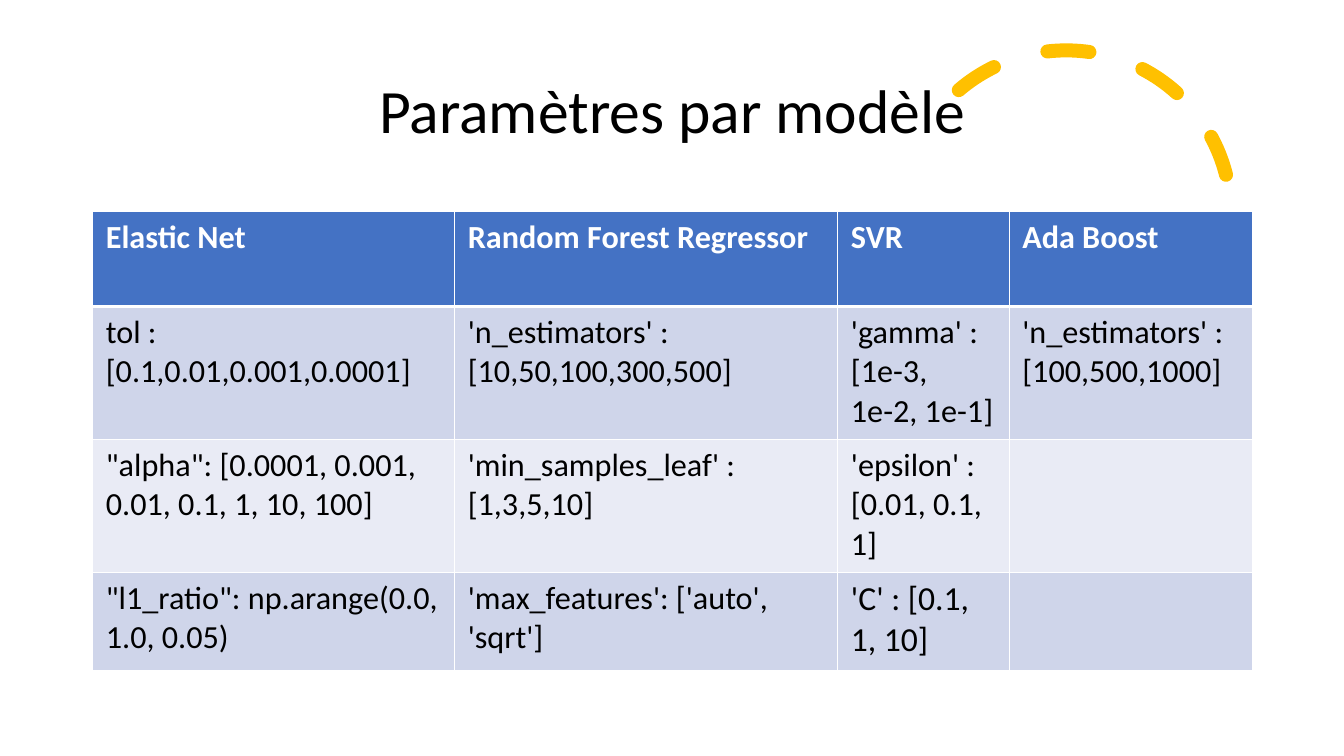
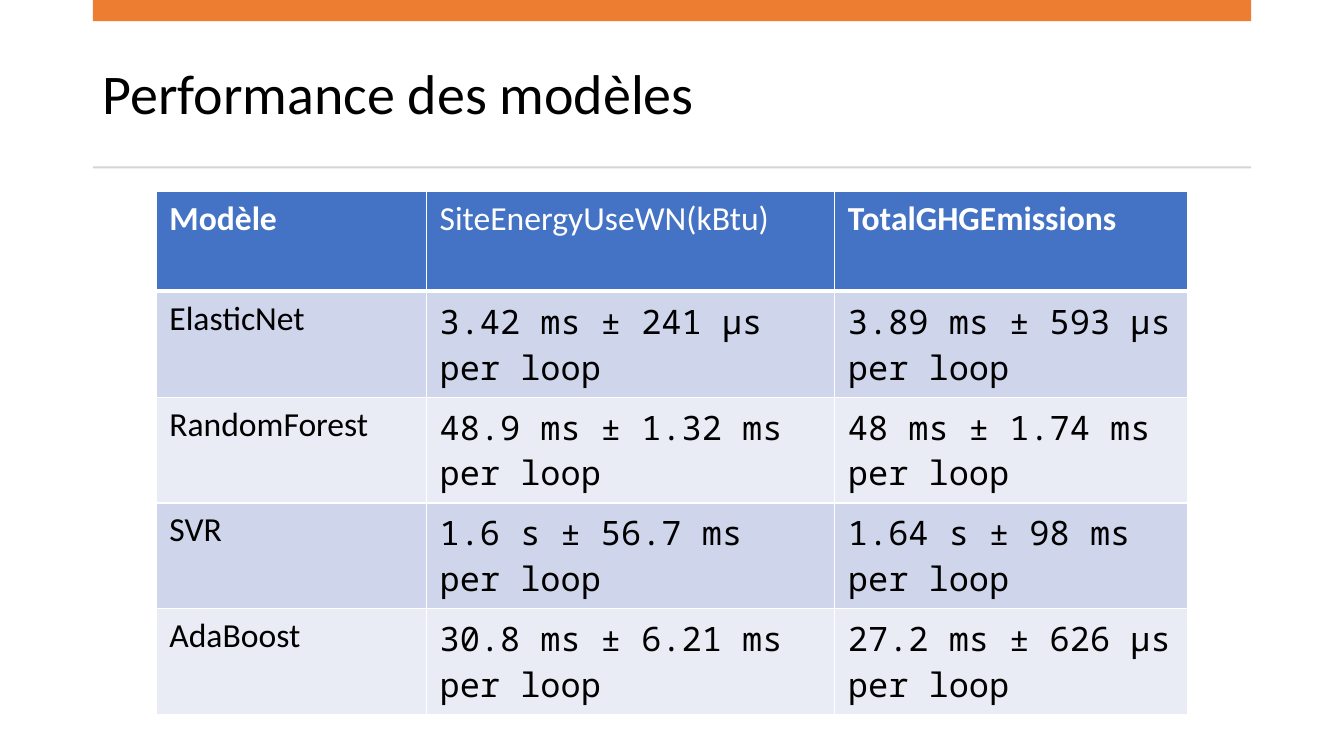
from dataclasses import dataclass, field

import lxml.etree
import pptx
import pptx.dml.color
import pptx.enum.dml
import pptx.enum.shapes
import pptx.enum.text
import pptx.oxml.ns
import pptx.presentation
import pptx.shapes.autoshape
import pptx.slide
import pptx.table
import pptx.text.text
import pptx.util

Inches = pptx.util.Inches
RGBColor = pptx.dml.color.RGBColor
Align = pptx.enum.text.PP_ALIGN
Preset = pptx.enum.shapes.MSO_SHAPE
qn = pptx.oxml.ns.qn

Box = tuple[float, float, float, float]
TITLE_ONLY_LAYOUT = 5


@dataclass(frozen=True)
class Theme:
    font: str = "Calibri"
    mono_font: str = "Noto Sans Mono"
    text: RGBColor = RGBColor.from_string("000000")
    white: RGBColor = RGBColor.from_string("FFFFFF")
    header: RGBColor = RGBColor.from_string("4472C4")
    bands: tuple[RGBColor, RGBColor] = (
        RGBColor.from_string("CFD5EA"),
        RGBColor.from_string("E9EBF5"),
    )
    arc: RGBColor = RGBColor.from_string("FFC000")
    bar: RGBColor = RGBColor.from_string("ED7D31")
    rule: RGBColor = RGBColor.from_string("D5D5D5")
    large_title: int = 44
    title: int = 40
    large_cell: int = 24
    cell: int = 23
    arc_width: int = 10
    border: int = 1
    header_border: int = 3


THEME = Theme()


@dataclass(frozen=True)
class TableDesign:
    """Rows of text with their grid; exceptions hold text formats by (row, column)."""

    left: float
    top: float
    widths: list[float]
    heights: list[float]
    rows: list[list[str]]
    size: int
    margin: float
    column_fonts: list[str]
    exceptions: dict[tuple[int, int], dict] = field(default_factory=dict)


PARAMETERS = TableDesign(
    left=0.92,
    top=2.1,
    widths=[3.59, 3.8, 1.7, 2.41],
    heights=[0.94, 1.32, 1.32, 0.97],
    rows=[
        ["Elastic Net", "Random Forest Regressor", "SVR", "Ada Boost"],
        [
            "tol : [0.1,0.01,0.001,0.0001]",
            "'n_estimators' : [10,50,100,300,500]",
            "'gamma' : [1e-3, 1e-2, 1e-1]",
            "'n_estimators' : [100,500,1000]",
        ],
        [
            '"alpha": [0.0001, 0.001, 0.01, 0.1, 1, 10, 100]',
            "'min_samples_leaf' : [1,3,5,10]",
            "'epsilon' : [0.01, 0.1, 1]",
            "",
        ],
        [
            '"l1_ratio": np.arange(0.0, 1.0, 0.05)',
            "'max_features': ['auto', 'sqrt']",
            "'C' : [0.1, 1, 10]",
            "",
        ],
    ],
    size=THEME.cell,
    margin=0.06,
    column_fonts=[THEME.font] * 4,
    exceptions={(3, 2): {"size": THEME.large_cell}},
)

PERFORMANCE = TableDesign(
    left=1.55,
    top=1.9,
    widths=[2.68, 4.05, 3.5],
    heights=[0.99] * 5,
    rows=[
        ["Modèle", "SiteEnergyUseWN(kBtu)", "TotalGHGEmissions"],
        ["ElasticNet", "3.42 ms ± 241 µs per loop", "3.89 ms ± 593 µs per loop"],
        ["RandomForest", "48.9 ms ± 1.32 ms per loop", "48 ms ± 1.74 ms per loop"],
        ["SVR", "1.6 s ± 56.7 ms per loop", "1.64 s ± 98 ms per loop"],
        ["AdaBoost", "30.8 ms ± 6.21 ms per loop", "27.2 ms ± 626 µs per loop"],
    ],
    size=THEME.large_cell,
    margin=0.07,
    column_fonts=[THEME.font, THEME.mono_font, THEME.mono_font],
    exceptions={(0, 1): {"bold": False}},
)


def write_text(
    paragraph: pptx.text.text._Paragraph,
    text: str,
    *,
    size: int,
    font: str = THEME.font,
    color: RGBColor = THEME.text,
    bold: bool = False,
) -> None:
    run = paragraph.add_run()
    run.text = text
    run.font.name = font
    run.font.size = pptx.util.Pt(size)
    run.font.bold = bold
    run.font.color.rgb = color


def add_titled_slide(
    presentation: pptx.presentation.Presentation,
    title: str,
    box: Box,
    *,
    size: int,
    alignment: Align,
) -> pptx.slide.Slide:
    slide = presentation.slides.add_slide(presentation.slide_layouts[TITLE_ONLY_LAYOUT])
    shape = slide.shapes.title
    shape.left, shape.top, shape.width, shape.height = map(Inches, box)
    shape.text_frame.vertical_anchor = pptx.enum.text.MSO_ANCHOR.MIDDLE
    paragraph = shape.text_frame.paragraphs[0]
    paragraph.alignment = alignment
    paragraph.line_spacing = 0.9
    write_text(paragraph, title, size=size)
    return slide


def add_band(slide: pptx.slide.Slide, box: Box, color: RGBColor) -> None:
    band = slide.shapes.add_shape(Preset.RECTANGLE, *map(Inches, box))
    band.shadow.inherit = False
    band.fill.solid()
    band.fill.fore_color.rgb = color
    band.line.fill.background()


def add_dashed_arc(slide: pptx.slide.Slide, box: Box) -> None:
    """Draw a round-capped dashed arc behind the title."""
    arc = slide.shapes.add_shape(Preset.ARC, *map(Inches, box))
    arc.adjustments[0] = 146.13
    arc.rotation = 345.8
    arc.shadow.inherit = False
    arc.fill.background()
    arc.line.color.rgb = THEME.arc
    arc.line.width = pptx.util.Pt(THEME.arc_width)
    arc.line.dash_style = pptx.enum.dml.MSO_LINE.DASH
    arc.element.spPr.find(qn("a:ln")).set("cap", "rnd")
    slide.shapes.title.element.addprevious(arc.element)


def set_borders(cell: pptx.table._Cell, row: int) -> None:
    """Give white edges, with a thicker one between header and body."""
    properties = cell._tc.get_or_add_tcPr()
    thick_side = {0: "lnB", 1: "lnT"}.get(row)
    for side in ("lnL", "lnR", "lnT", "lnB"):
        width = THEME.header_border if side == thick_side else THEME.border
        line = lxml.etree.SubElement(
            properties, qn(f"a:{side}"), w=str(pptx.util.Pt(width))
        )
        fill = lxml.etree.SubElement(line, qn("a:solidFill"))
        lxml.etree.SubElement(fill, qn("a:srgbClr"), val=str(THEME.white))


def add_model_table(slide: pptx.slide.Slide, design: TableDesign) -> None:
    table = slide.shapes.add_table(
        len(design.heights),
        len(design.widths),
        Inches(design.left),
        Inches(design.top),
        Inches(sum(design.widths)),
        Inches(sum(design.heights)),
    ).table
    for column, width in zip(table.columns, design.widths):
        column.width = Inches(width)
    for table_row, height in zip(table.rows, design.heights):
        table_row.height = Inches(height)

    for row, texts in enumerate(design.rows):
        is_header = row == 0
        for column, text in enumerate(texts):
            cell = table.cell(row, column)
            cell.margin_left = cell.margin_right = Inches(0.13)
            cell.margin_top = cell.margin_bottom = Inches(design.margin)
            set_borders(cell, row)
            cell.fill.solid()
            cell.fill.fore_color.rgb = (
                THEME.header if is_header else THEME.bands[(row - 1) % 2]
            )
            if text:
                text_format = {
                    "size": design.size,
                    "font": THEME.font if is_header else design.column_fonts[column],
                    "color": THEME.white if is_header else THEME.text,
                    "bold": is_header,
                } | design.exceptions.get((row, column), {})
                write_text(cell.text_frame.paragraphs[0], text, **text_format)


def add_parameters_slide(presentation: pptx.presentation.Presentation) -> None:
    slide = add_titled_slide(
        presentation,
        "Paramètres par modèle",
        (0.92, 0.4, 11.5, 1.45),
        size=THEME.large_title,
        alignment=Align.CENTER,
    )
    add_dashed_arc(slide, (8.94, 0.5, 3.27, 3.27))
    add_model_table(slide, PARAMETERS)


def add_performance_slide(presentation: pptx.presentation.Presentation) -> None:
    slide = add_titled_slide(
        presentation,
        "Performance des modèles",
        (0.92, 0.37, 11.49, 1.18),
        size=THEME.title,
        alignment=Align.LEFT,
    )
    add_band(slide, (0.92, 0, 11.49, 0.21), THEME.bar)
    add_band(slide, (0.92, 1.65, 11.49, 0.02), THEME.rule)
    add_model_table(slide, PERFORMANCE)


def main() -> None:
    presentation = pptx.Presentation()
    presentation.slide_width = Inches(13.33)
    presentation.slide_height = Inches(7.5)
    add_parameters_slide(presentation)
    add_performance_slide(presentation)
    presentation.save("out.pptx")


if __name__ == "__main__":
    main()
